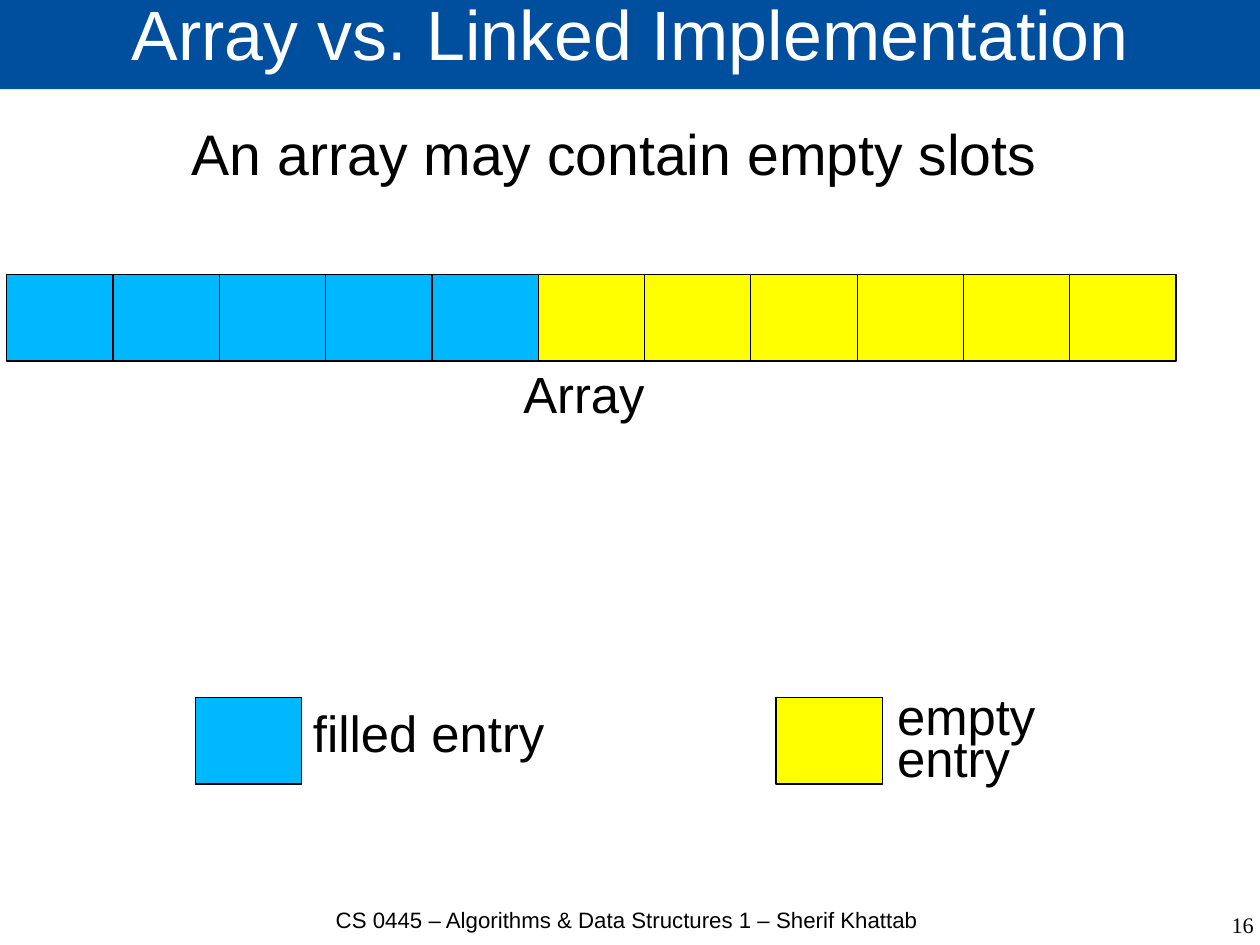
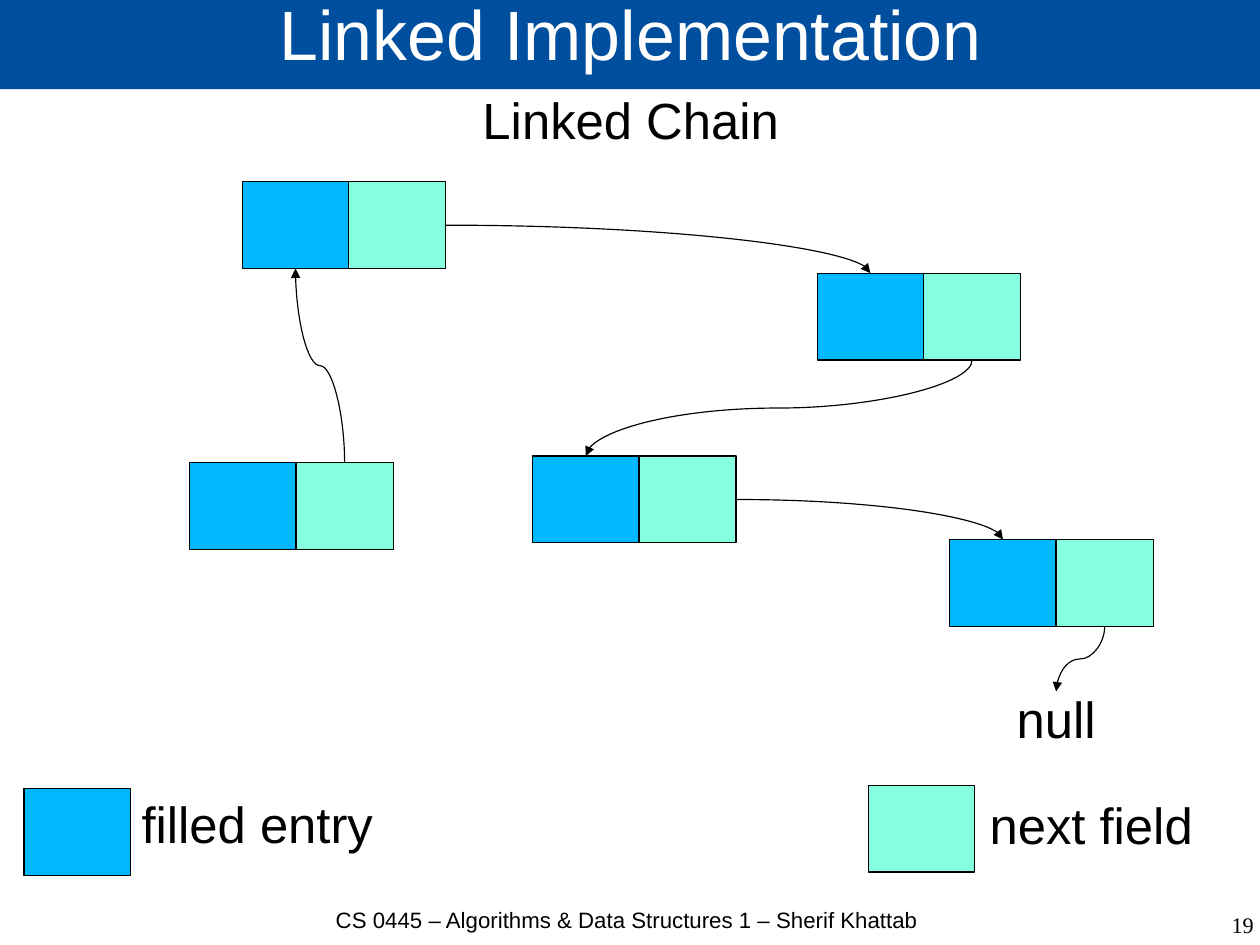
import dataclasses

import pptx
import pptx.dml.color
import pptx.enum.shapes
import pptx.enum.text
import pptx.oxml
import pptx.oxml.ns
import pptx.util
from pptx.util import Inches

ALIGN = pptx.enum.text.PP_ALIGN
ANCHOR = pptx.enum.text.MSO_ANCHOR
TOP, BOTTOM, RIGHT = 0, 2, 3  # connection sites of a rectangle


@dataclasses.dataclass(frozen=True)
class Theme:
    band: str = "004F9E"
    title_text: str = "FFFFFF"
    text: str = "000000"
    line: str = "000000"
    filled: str = "00B8FF"
    empty: str = "FFFF00"
    next_field: str = "85FFE0"
    font: str = "Arial"
    number_font: str = "Times New Roman"
    title_size: int = 44
    heading_size: int = 36
    label_size: int = 32
    footer_size: int = 14
    line_width: float = 0.75
    tight: float = 0.69
    footer_spacing: float = 0.96


THEME = Theme()
SLIDE_WIDTH, SLIDE_HEIGHT = 28 / 2.54, 21 / 2.54  # 28 by 21 cm, in inches
CELL_WIDTH, CELL_HEIGHT, NEXT_WIDTH = 0.93, 0.76, 0.85
LABEL_HEIGHT = 0.48
FOOTER = "CS 0445 – Algorithms & Data Structures 1 – Sherif Khattab"


def rgb(value):
    return pptx.dml.color.RGBColor.from_string(value)


def place(shape, left, top, width, height):
    shape.left, shape.top = Inches(left), Inches(top)
    shape.width, shape.height = Inches(width), Inches(height)


def write(shape, text, size, color=THEME.text, font=THEME.font, align=ALIGN.LEFT,
          spacing=1.0, anchor=ANCHOR.TOP, margins=None):
    """Put one formatted paragraph in a shape and return the paragraph."""
    frame = shape.text_frame
    frame.word_wrap = True
    frame.auto_size = pptx.enum.text.MSO_AUTO_SIZE.NONE
    frame.vertical_anchor = anchor
    if margins is not None:
        frame.margin_left = frame.margin_right = Inches(margins)
        frame.margin_top = frame.margin_bottom = Inches(margins)
    frame.text = text
    paragraph = frame.paragraphs[0]
    paragraph.alignment = align
    paragraph.line_spacing = spacing
    paragraph.space_before = pptx.util.Pt(0)
    paragraph.font.name = font
    paragraph.font.size = pptx.util.Pt(size)
    paragraph.font.color.rgb = rgb(color)
    return paragraph


def add_text(slide, box, text, size, **style):
    shape = slide.shapes.add_textbox(*map(Inches, box))
    write(shape, text, size, **style)
    return shape


def add_label(slide, box, text, align=ALIGN.LEFT):
    return add_text(slide, box, text, THEME.label_size, align=align,
                    spacing=THEME.tight, anchor=ANCHOR.MIDDLE)


def add_cell(slide, left, top, color, width=CELL_WIDTH):
    cell = slide.shapes.add_shape(
        pptx.enum.shapes.MSO_SHAPE.RECTANGLE,
        *map(Inches, (left, top, width, CELL_HEIGHT)))
    cell.shadow.inherit = False
    cell.fill.solid()
    cell.fill.fore_color.rgb = rgb(color)
    cell.line.color.rgb = rgb(THEME.line)
    cell.line.width = pptx.util.Pt(THEME.line_width)
    return cell


def add_legend_entry(slide, left, top, color, text, gap=0.03, drop=0.17):
    add_cell(slide, left, top, color)
    add_label(slide, (left + CELL_WIDTH + gap, top + drop, 2.5, LABEL_HEIGHT), text)


def add_filled_legend(slide, left, top):
    add_legend_entry(slide, left, top, THEME.filled, "filled entry", gap=0, drop=0.13)


def site_point(shape, site):
    center = shape.left + shape.width // 2
    return {
        TOP: (center, shape.top),
        BOTTOM: (center, shape.top + shape.height),
        RIGHT: (shape.left + shape.width, shape.top + shape.height // 2),
    }[site]


def add_curved_arrow(slide, source, source_site, target, target_site):
    """Glue a curved arrow to two shapes; it leaves the source at a right angle."""
    start_x, start_y = site_point(source, source_site)
    end_x, end_y = site_point(target, target_site)
    across, down = end_x - start_x, end_y - start_y
    arrow = slide.shapes.add_connector(
        pptx.enum.shapes.MSO_CONNECTOR.CURVE, start_x, start_y, end_x, end_y)
    arrow.begin_connect(source, source_site)
    arrow.end_connect(target, target_site)
    properties = arrow._element.spPr

    if source_site == RIGHT:
        geometry = properties.find(pptx.oxml.ns.qn("a:prstGeom"))
        geometry.set("prst", "curvedConnector2")
    else:
        # A vertical start is a horizontal curve turned about its centre.
        width, height = abs(down), abs(across)
        arrow.left = (start_x + end_x - width) // 2
        arrow.top = (start_y + end_y - height) // 2
        arrow.width, arrow.height = width, height
        arrow.rotation = 90 if down > 0 else 270
        transform = properties.find(pptx.oxml.ns.qn("a:xfrm"))
        transform.set("flipH", "0")
        transform.set("flipV", "1" if (across > 0) == (down > 0) else "0")

    arrow.line.color.rgb = rgb(THEME.line)
    arrow.line.width = pptx.util.Pt(THEME.line_width)
    line = properties.find(pptx.oxml.ns.qn("a:ln"))
    line.append(line.makeelement(pptx.oxml.ns.qn("a:tailEnd"), {"type": "triangle"}))
    properties.append(
        properties.makeelement(pptx.oxml.ns.qn("a:effectLst"), {}))


def add_course_slide(presentation, layout_index, title, number):
    """Add a slide with the title band, the course footer and its number."""
    slide = presentation.slides.add_slide(presentation.slide_layouts[layout_index])
    band = slide.shapes.title
    place(band, 0, -0.02, 11.04, 0.8)
    band.fill.solid()
    band.fill.fore_color.rgb = rgb(THEME.band)
    write(band, title, THEME.title_size, color=THEME.title_text, align=ALIGN.CENTER,
          spacing=THEME.tight, anchor=ANCHOR.MIDDLE, margins=0)
    add_text(slide, (2.72, 7.94, 5.53, 0.55), FOOTER, THEME.footer_size,
             align=ALIGN.CENTER, spacing=THEME.footer_spacing, margins=0)
    add_text(slide, (8.44, 7.99, 2.53, 0.55), str(number), THEME.footer_size,
             font=THEME.number_font, align=ALIGN.RIGHT,
             spacing=THEME.footer_spacing, margins=0)
    return slide


def add_array(slide, left, top, filled_count, empty_count):
    colors = [THEME.filled] * filled_count + [THEME.empty] * empty_count
    for index, color in enumerate(colors):
        add_cell(slide, left + index * CELL_WIDTH, top, color)
    add_label(slide, (left + 4.42, top + 0.87, 1.3, LABEL_HEIGHT), "Array")


def add_chain(slide, positions, null_box):
    """Draw nodes in chain order, each pointing to the next and the last to null."""
    entries, next_fields = [], []
    for left, top in positions:
        entries.append(add_cell(slide, left, top, THEME.filled))
        next_fields.append(add_cell(
            slide, left + CELL_WIDTH, top, THEME.next_field, NEXT_WIDTH))
    null_label = add_label(slide, null_box, "null", align=ALIGN.CENTER)
    targets = entries[1:] + [null_label]
    sites = [(TOP, BOTTOM), (RIGHT, TOP), (BOTTOM, TOP), (RIGHT, TOP), (BOTTOM, TOP)]
    for source, target, (source_site, target_site) in zip(next_fields, targets, sites):
        add_curved_arrow(slide, source, source_site, target, target_site)


def build_array_slide(presentation):
    slide = add_course_slide(presentation, 5, "Array vs. Linked Implementation", 16)
    add_text(slide, (1.58, 0.99, 8.13, 0.71), "An array may contain empty slots",
             THEME.heading_size)
    add_array(slide, 0.06, 2.4, filled_count=5, empty_count=6)
    add_filled_legend(slide, 1.71, 6.1)
    add_legend_entry(slide, 6.79, 6.1, THEME.empty, "empty entry")


def build_chain_slide(presentation):
    slide = add_course_slide(presentation, 1, "Linked Implementation", 19)
    body = slide.placeholders[1]
    place(body, 0, 0.78, 11.04, 7.18)
    paragraph = write(body, "Linked Chain", THEME.label_size,
                      align=ALIGN.CENTER, margins=0)
    paragraph.space_after = pptx.util.Pt(14.2)
    settings = paragraph._p.get_or_add_pPr()
    settings.set("marL", "0")
    settings.set("indent", "0")
    settings.append(settings.makeelement(pptx.oxml.ns.qn("a:buNone"), {}))
    # The font defaults must follow the bullet setting.
    settings.append(settings.find(pptx.oxml.ns.qn("a:defRPr")))

    add_chain(slide,
              [(1.66, 4.05), (2.12, 1.59), (7.15, 2.39), (4.66, 3.99), (8.31, 4.72)],
              null_box=(8.79, 6.05, 0.9, 0.6))
    add_filled_legend(slide, 0.21, 6.9)
    add_legend_entry(slide, 7.6, 6.87, THEME.next_field, "next field")


def main():
    presentation = pptx.Presentation()
    presentation.slide_width = Inches(SLIDE_WIDTH)
    presentation.slide_height = Inches(SLIDE_HEIGHT)
    build_array_slide(presentation)
    build_chain_slide(presentation)
    presentation.save("out.pptx")


if __name__ == "__main__":
    main()
